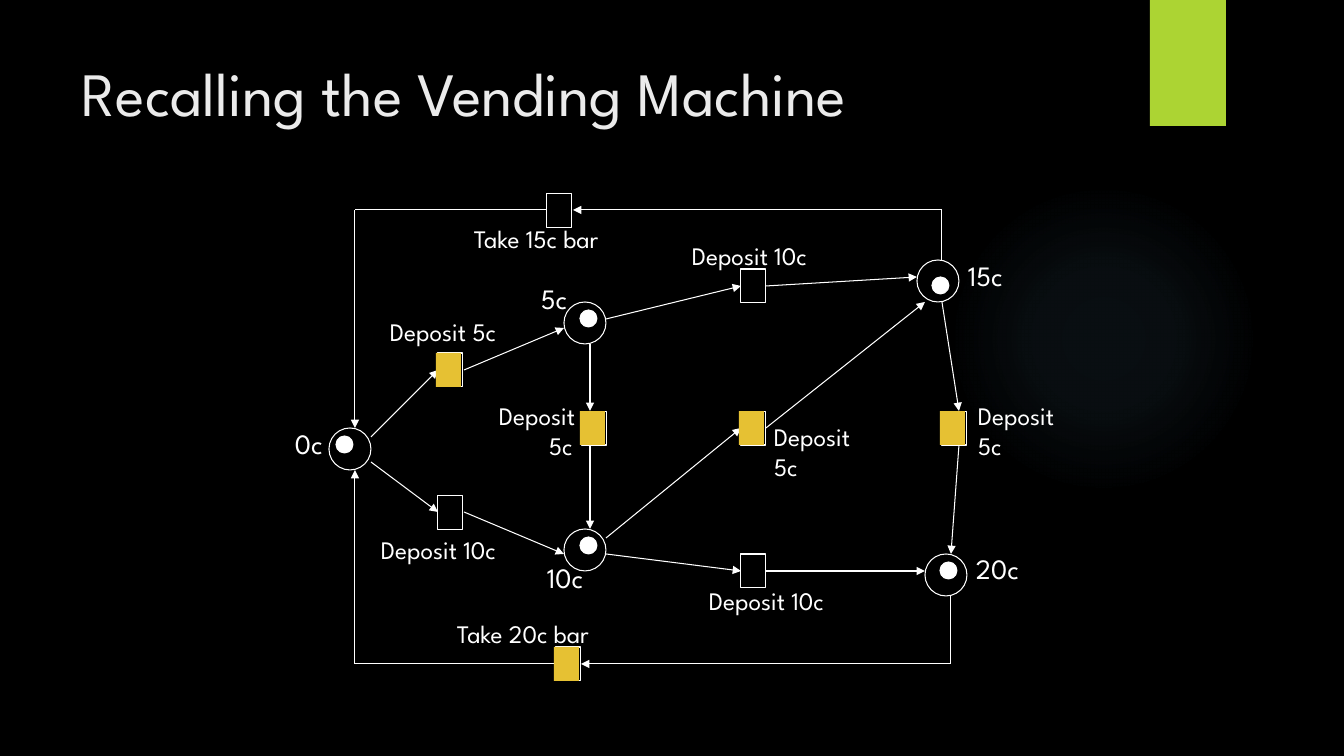
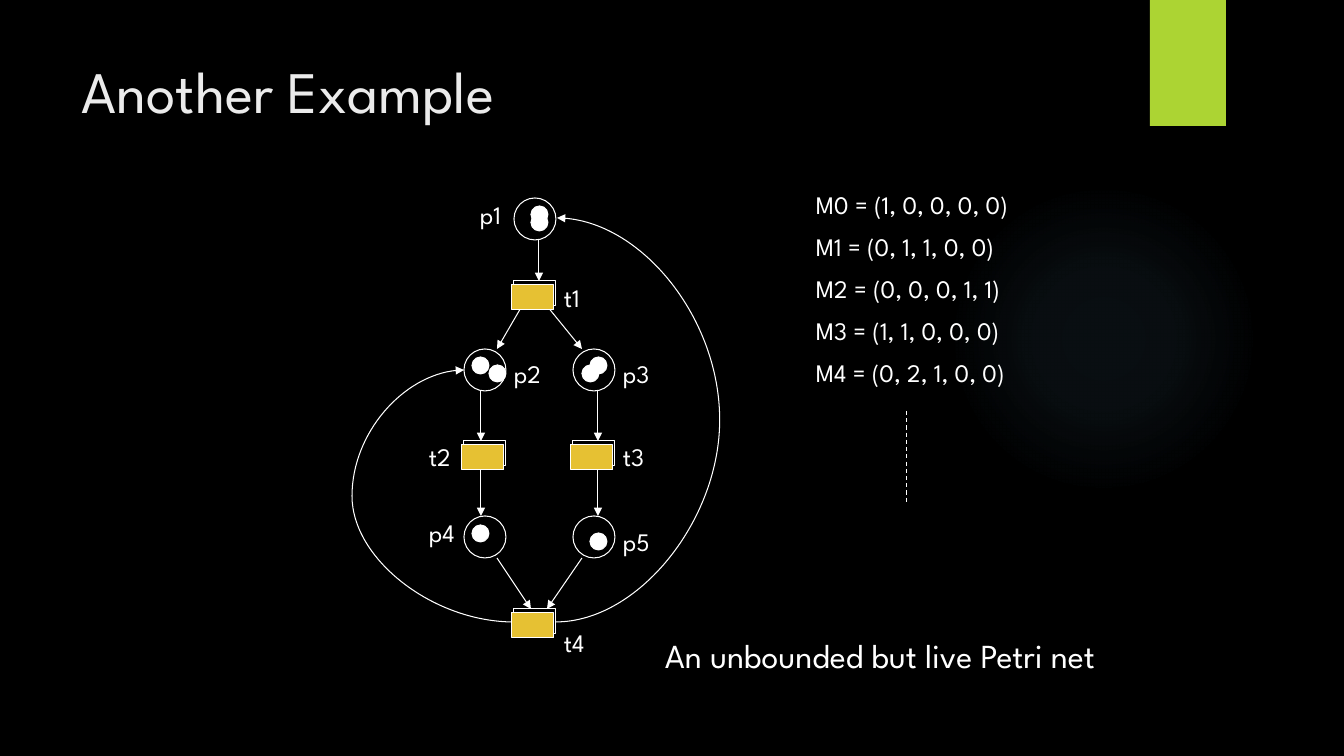
"""Build two slides of Petri nets: a vending machine and an unbounded live net."""
from dataclasses import dataclass

from lxml.etree import SubElement
from pptx import Presentation
from pptx.dml.color import RGBColor as Color
from pptx.enum.dml import MSO_LINE
from pptx.enum.shapes import MSO_CONNECTOR as Link, MSO_SHAPE as Kind
from pptx.enum.text import MSO_ANCHOR as Anchor, MSO_AUTO_SIZE as AutoSize, PP_ALIGN as Align
from pptx.oxml import parse_xml
from pptx.oxml.ns import nsdecls, qn
from pptx.slide import Slide
from pptx.util import Emu, Pt

Point = tuple[int, int]


@dataclass(frozen=True)
class Theme:
    font: str = "League Spartan"
    back: str = "000000"
    ink: str = "FFFFFF"
    title: str = "EBEBEB"
    tab: str = "ACD433"
    enabled: str = "E6C133"
    glow: str = "7AC4F0"
    line: float = 0.75
    label: int = 18
    state: int = 20
    caption: int = 24


@dataclass(frozen=True)
class Place:
    x: int
    y: int
    tokens: tuple[Point, ...]


@dataclass(frozen=True)
class Transition:
    x: int
    y: int
    enabled: bool = True


@dataclass(frozen=True)
class Curve:
    start: Point
    end: Point
    bulge_x: int


@dataclass(frozen=True)
class Label:
    text: str
    x: int
    y: int
    width: int
    size: int = Theme.label
    last_indent: int = 0


@dataclass(frozen=True)
class Bars:
    size: Point
    enabled_shift: Point
    fill: str | None
    enabled_line: str | None


@dataclass(frozen=True)
class Net:
    title: str
    title_size: int
    bars: Bars
    places: tuple[Place, ...]
    transitions: tuple[Transition, ...]
    arcs: tuple[tuple[Point, ...], ...]
    labels: tuple[Label, ...]
    curves: tuple[Curve, ...] = ()


THEME = Theme()
WIDTH, HEIGHT = 1344, 756
EMU_PER_PIXEL = 12192000 / WIDTH
PLACE, TOKEN = 42, 17


def px(length: float) -> Emu:
    return Emu(round(length * EMU_PER_PIXEL))


def add_figure(page: Slide, kind: Kind, at: Point, size: Point,
               fill: str | None, line: str | None):
    figure = page.shapes.add_shape(kind, *map(px, (*at, *size)))
    figure.shadow.inherit = False
    if fill:
        figure.fill.solid()
        figure.fill.fore_color.rgb = Color.from_string(fill)
    else:
        figure.fill.background()
    if line:
        figure.line.color.rgb = Color.from_string(line)
        figure.line.width = Pt(THEME.line)
    else:
        figure.line.fill.background()
    return figure


def add_text(page: Slide, label: Label, color: str = THEME.ink, height: int = 0) -> None:
    lines = label.text.count("\n") + 1
    fitted = lines * round(label.size * 1.7) + 10
    box = page.shapes.add_textbox(*map(px, (label.x, label.y, label.width, height or fitted)))
    frame = box.text_frame
    frame.text = label.text
    frame.word_wrap = True
    frame.vertical_anchor = Anchor.TOP
    frame.auto_size = AutoSize.NONE if height else AutoSize.SHAPE_TO_FIT_TEXT
    for para in frame.paragraphs:
        para.alignment = Align.LEFT
        for span in para.runs:
            span.font.name = THEME.font
            span.font.size = Pt(label.size)
            span.font.color.rgb = Color.from_string(color)
    if label.last_indent:
        frame.paragraphs[-1]._p.get_or_add_pPr().set("marL", str(px(label.last_indent)))


def add_line(page: Slide, start: Point, end: Point, arrow: bool = False,
             dashed: bool = False, kind: Link = Link.STRAIGHT):
    link = page.shapes.add_connector(kind, *map(px, (*start, *end)))
    link.line.color.rgb = Color.from_string(THEME.ink)
    link.line.width = Pt(THEME.line)
    if dashed:
        link.line.dash_style = MSO_LINE.DASH
    if arrow:
        SubElement(link.line._get_or_add_ln(), qn("a:tailEnd"), type="triangle")
    SubElement(link._element.spPr, qn("a:effectLst"))
    return link


def add_arc(page: Slide, points: tuple[Point, ...]) -> None:
    for start, end in zip(points, points[1:]):
        add_line(page, start, end, arrow=end == points[-1])


def add_curve(page: Slide, curve: Curve) -> None:
    leftward = curve.end[0] < curve.start[0]
    ends = (curve.end, curve.start) if leftward else (curve.start, curve.end)
    link = add_line(page, *ends, arrow=True, kind=Link.CURVE)
    properties = link._element.spPr
    if leftward:
        properties.find(qn("a:xfrm")).set("rot", "10800000")
    share = (curve.bulge_x - curve.start[0]) / (curve.end[0] - curve.start[0])
    guides = properties.find(qn("a:prstGeom")).get_or_add_avLst()
    SubElement(guides, qn("a:gd"), name="adj1", fmla=f"val {round(share * 100000)}")


def add_glow(page: Slide) -> None:
    glow = add_figure(page, Kind.OVAL, (949, 184), (310, 310), None, None)
    stops = "".join(
        f'<a:gs pos="{stop}000"><a:srgbClr val="{THEME.glow}">'
        f'<a:alpha val="{alpha}000"/></a:srgbClr></a:gs>'
        for stop, alpha in ((0, 7), (36, 6), (69, 0)))
    gradient = parse_xml(
        f'<a:gradFill {nsdecls("a")}><a:gsLst>{stops}</a:gsLst><a:path path="circle">'
        '<a:fillToRect l="50000" t="50000" r="50000" b="50000"/></a:path></a:gradFill>')
    properties = glow._element.spPr
    properties.replace(properties.find(qn("a:noFill")), gradient)


def start_page(deck: Presentation, title: str, size: int) -> Slide:
    page = deck.slides.add_slide(deck.slide_layouts[6])
    page.background.fill.solid()
    page.background.fill.fore_color.rgb = Color.from_string(THEME.back)
    add_glow(page)
    add_figure(page, Kind.RECTANGLE, (1150, 0), (76, 126), THEME.tab, None)
    add_text(page, Label(title, 72, 50, 1036, size), THEME.title, 154)
    return page


def draw_net(deck: Presentation, net: Net) -> Slide:
    page = start_page(deck, net.title, net.title_size)
    bars = net.bars
    for place in net.places:
        add_figure(page, Kind.OVAL, (place.x, place.y), (PLACE, PLACE), None, THEME.ink)
    for bar in net.transitions:
        add_figure(page, Kind.RECTANGLE, (bar.x, bar.y), bars.size, bars.fill, THEME.ink)
    for arc in net.arcs:
        add_arc(page, arc)
    for curve in net.curves:
        add_curve(page, curve)
    for label in net.labels:
        add_text(page, label)
    for place in net.places:
        for right, down in place.tokens:
            add_figure(page, Kind.OVAL, (place.x + right, place.y + down),
                       (TOKEN, TOKEN), THEME.ink, THEME.ink)
    right, down = bars.enabled_shift
    for bar in net.transitions:
        if bar.enabled:
            add_figure(page, Kind.RECTANGLE, (bar.x + right, bar.y + down),
                       bars.size, THEME.enabled, bars.enabled_line)
    return page


VENDING = Net(
    "Recalling the Vending Machine", 44, Bars((25, 34), (-2, 0), None, None),
    places=(
        Place(329, 428, ((7, 8),)), Place(564, 302, ((16, 8),)),
        Place(564, 529, ((16, 8),)), Place(917, 260, ((15, 17),)),
        Place(925, 554, ((15, 8),))),
    transitions=(
        Transition(438, 353), Transition(438, 496, False),
        Transition(582, 411), Transition(741, 411), Transition(942, 411),
        Transition(741, 269, False), Transition(741, 554, False),
        Transition(547, 194, False), Transition(556, 647)),
    arcs=(
        ((371, 437), (438, 370)), ((464, 370), (564, 328)),
        ((371, 462), (438, 512)), ((464, 512), (564, 554)),
        ((606, 319), (741, 286)), ((766, 286), (917, 277)),
        ((590, 344), (590, 411)), ((590, 445), (590, 529)),
        ((606, 538), (741, 428)), ((766, 428), (925, 302)),
        ((606, 554), (741, 571)), ((766, 571), (925, 571)),
        ((942, 302), (959, 411)), ((959, 445), (951, 554)),
        ((942, 260), (942, 210), (573, 210)), ((547, 210), (355, 210), (355, 428)),
        ((951, 596), (951, 664), (581, 664)), ((556, 664), (355, 664), (355, 470))),
    labels=(
        Label("0c", 285, 422, 54, THEME.state), Label("5c", 531, 277, 54, THEME.state),
        Label("10c", 537, 556, 71, THEME.state), Label("15c", 958, 254, 71, THEME.state),
        Label("20c", 966, 547, 71, THEME.state),
        Label("Take 15c bar", 464, 218, 195), Label("Take 20c bar", 447, 613, 178),
        Label("Deposit 5c", 380, 311, 151), Label("Deposit 10c", 371, 529, 165),
        Label("Deposit 10c", 682, 235, 165), Label("Deposit 10c", 699, 580, 165),
        Label("Deposit\n5c", 489, 395, 109, last_indent=50),
        Label("Deposit\n5c", 764, 416, 113), Label("Deposit\n5c", 968, 395, 113)))

UNBOUNDED = Net(
    "Another Example", 42, Bars((42, 25), (-2, 4), THEME.back, THEME.ink),
    places=(
        Place(514, 198, ((17, 8), (17, 16))), Place(464, 349, ((8, 8), (25, 16))),
        Place(573, 349, ((17, 8), (9, 16))), Place(464, 516, ((8, 9),)),
        Place(573, 516, ((17, 17),))),
    transitions=(
        Transition(514, 281), Transition(464, 441),
        Transition(573, 441), Transition(514, 609)),
    arcs=(
        ((539, 240), (539, 281)), ((522, 306), (497, 349)), ((547, 306), (582, 349)),
        ((481, 391), (481, 441)), ((598, 391), (598, 441)),
        ((481, 466), (481, 516)), ((598, 466), (598, 516)),
        ((497, 558), (531, 609)), ((582, 558), (547, 609))),
    labels=(
        Label("p1", 470, 194, 51), Label("p2", 504, 353, 51), Label("p3", 613, 353, 51),
        Label("p4", 419, 512, 51), Label("p5", 613, 521, 51),
        Label("t1", 554, 277, 43), Label("t2", 419, 436, 43),
        Label("t3", 613, 436, 43), Label("t4", 554, 622, 43)),
    curves=(Curve((514, 622), (464, 370), 352), Curve((556, 622), (557, 218), 721)))

MARKINGS = ("1, 0, 0, 0, 0", "0, 1, 1, 0, 0", "0, 0, 0, 1, 1", "1, 1, 0, 0, 0", "0, 2, 1, 0, 0")


def add_markings(page: Slide) -> None:
    for step, marking in enumerate(MARKINGS):
        add_text(page, Label(f"M{step} = ({marking})", 806, 184 + 42 * step, 233))
    add_line(page, (907, 411), (907, 504), dashed=True)
    add_text(page, Label("An unbounded but live Petri net", 655, 630, 544, THEME.caption))


def main() -> None:
    deck = Presentation()
    deck.slide_width, deck.slide_height = px(WIDTH), px(HEIGHT)
    draw_net(deck, VENDING)
    add_markings(draw_net(deck, UNBOUNDED))
    deck.save("out.pptx")


main()
